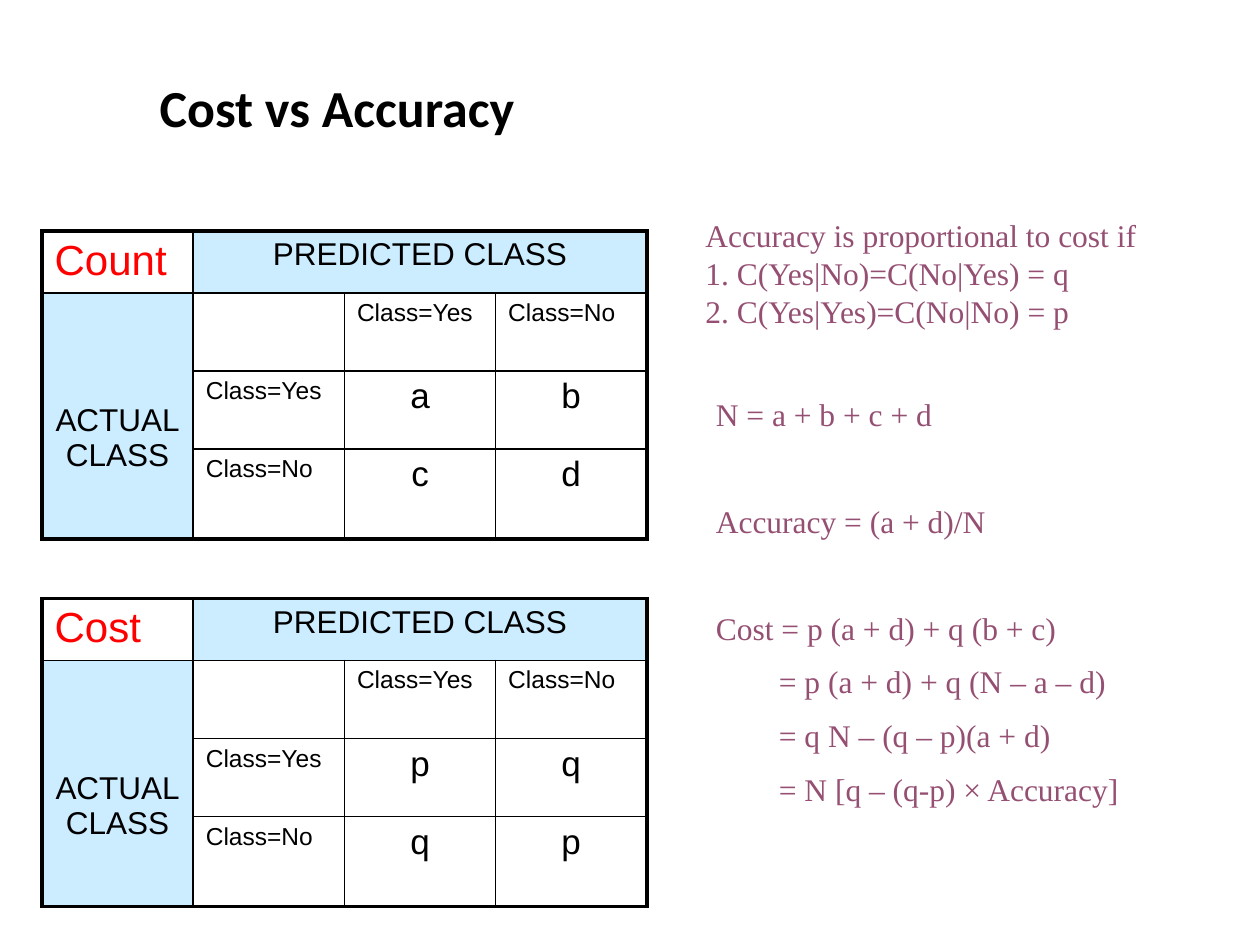
from enum import Enum

from lxml.etree import SubElement
from pptx import Presentation
from pptx.dml.color import RGBColor
from pptx.enum.text import MSO_ANCHOR, MSO_AUTO_SIZE, PP_ALIGN
from pptx.oxml.ns import qn
from pptx.util import Pt


class Theme(Enum):
    BLACK = "000000"
    RED = "FF0000"
    PLUM = "954F72"
    PALE_BLUE = "CCECFF"
    TITLE_SIZE = 29.7
    CORNER_SIZE = 24
    VALUE_SIZE = 20
    BODY_SIZE = 18
    LABEL_SIZE = 14
    THIN = 1
    THICK = 2.25


def write(para, text, size=Theme.BODY_SIZE, font="Arial", color=Theme.BLACK,
          bold=False, align=PP_ALIGN.LEFT, line=None, before=0, indent=0):
    para.alignment = align
    para.space_before = Pt(before)
    if line:
        para.line_spacing = line
    if indent:
        para._p.get_or_add_pPr().set("marL", str(Pt(indent)))
    para.text = text
    for span in para.runs:
        span.font.name = font
        span.font.size = Pt(size.value)
        span.font.bold = bold
        span.font.color.rgb = RGBColor.from_string(color.value)


def add_border(cell, side, width):
    line = SubElement(cell._tc.get_or_add_tcPr(), qn(f"a:{side}"), w=str(Pt(width.value)))
    fill = SubElement(line, qn("a:solidFill"))
    SubElement(fill, qn("a:srgbClr"), val=Theme.BLACK.value)


deck = Presentation()
deck.slide_width, deck.slide_height = Pt(720), Pt(540)
page = deck.slides.add_slide(deck.slide_layouts[5])

title = page.shapes.title
title.left, title.top, title.width, title.height = Pt(84), Pt(42), Pt(546), Pt(42)
title.text_frame.auto_size = MSO_AUTO_SIZE.NONE
title.text_frame.vertical_anchor = MSO_ANCHOR.MIDDLE
write(title.text_frame.paragraphs[0], "Cost vs Accuracy", size=Theme.TITLE_SIZE,
      font="Calibri", bold=True, line=0.9)

row_heights = [35.4, 44.6, 44.6, 51.4]
column_width = 86.4
matrices = [("Count", 132, ["ab", "cd"]), ("Cost", 342, ["pq", "qp"])]

for corner, top, values in matrices:
    frame = page.shapes.add_table(4, 4, Pt(24), Pt(top), Pt(4 * column_width), Pt(sum(row_heights)))
    table = frame.table
    table.first_row = table.horz_banding = False
    for column in table.columns:
        column.width = Pt(column_width)
    for row, height in zip(table.rows, row_heights):
        row.height = Pt(height)

    table.cell(0, 1).merge(table.cell(0, 3))
    table.cell(1, 0).merge(table.cell(3, 0))
    texts = [
        [corner, "PREDICTED CLASS", "", ""],
        ["ACTUAL\vCLASS", "", "Class=Yes", "Class=No"],
        ["", "Class=Yes", *values[0]],
        ["", "Class=No", *values[1]],
    ]
    for r, row_texts in enumerate(texts):
        for c, text in enumerate(row_texts):
            cell = table.cell(r, c)
            outer = {"lnL": c == 0, "lnR": c == 3 or (r, c) == (0, 1),
                     "lnT": r == 0, "lnB": r == 3 or (r, c) == (1, 0)}
            for side, is_outer in outer.items():
                add_border(cell, side, Theme.THICK if is_outer else Theme.THIN)
            is_header = (r == 0) != (c == 0)
            if is_header:
                cell.fill.solid()
                cell.fill.fore_color.rgb = RGBColor.from_string(Theme.PALE_BLUE.value)
            else:
                cell.fill.background()
            if not text:
                continue
            style = {"size": Theme.LABEL_SIZE}
            if is_header:
                style = {"align": PP_ALIGN.CENTER}
            elif r == 0:
                style = {"size": Theme.CORNER_SIZE, "color": Theme.RED}
            elif r > 1 and c > 1:
                style = {"size": Theme.VALUE_SIZE, "align": PP_ALIGN.CENTER}
            write(cell.text_frame.paragraphs[0], text, **style)
    table.cell(1, 0).margin_top = Pt(63)

line_height, gap = 21.6, 9
wide_gap = line_height + 2 * gap
formula_boxes = [
    ((396, 120, 294, 72), [
        ("Accuracy is proportional to cost if\v1. C(Yes|No)=C(No|Yes) = q\v"
         "2. C(Yes|Yes)=C(No|No) = p", 0, 0),
    ]),
    ((402, 222, 282, 288.7), [
        ("N = a + b + c + d", 0, 0),
        ("Accuracy = (a + d)/N", wide_gap, 0),
        ("Cost = p (a + d) + q (b + c)", wide_gap, 0),
        ("= p (a + d) + q (N – a – d)", gap, 36),
        ("= q N – (q – p)(a + d)", gap, 36),
        ("= N [q – (q-p) × Accuracy]", gap, 36),
    ]),
]
for bounds, lines in formula_boxes:
    box = page.shapes.add_textbox(*map(Pt, bounds))
    box.text_frame.word_wrap = True
    for i, (text, before, indent) in enumerate(lines):
        para = box.text_frame.add_paragraph() if i else box.text_frame.paragraphs[0]
        write(para, text, font="Times New Roman", color=Theme.PLUM,
              line=Pt(line_height), before=before, indent=indent)

deck.save("out.pptx")
